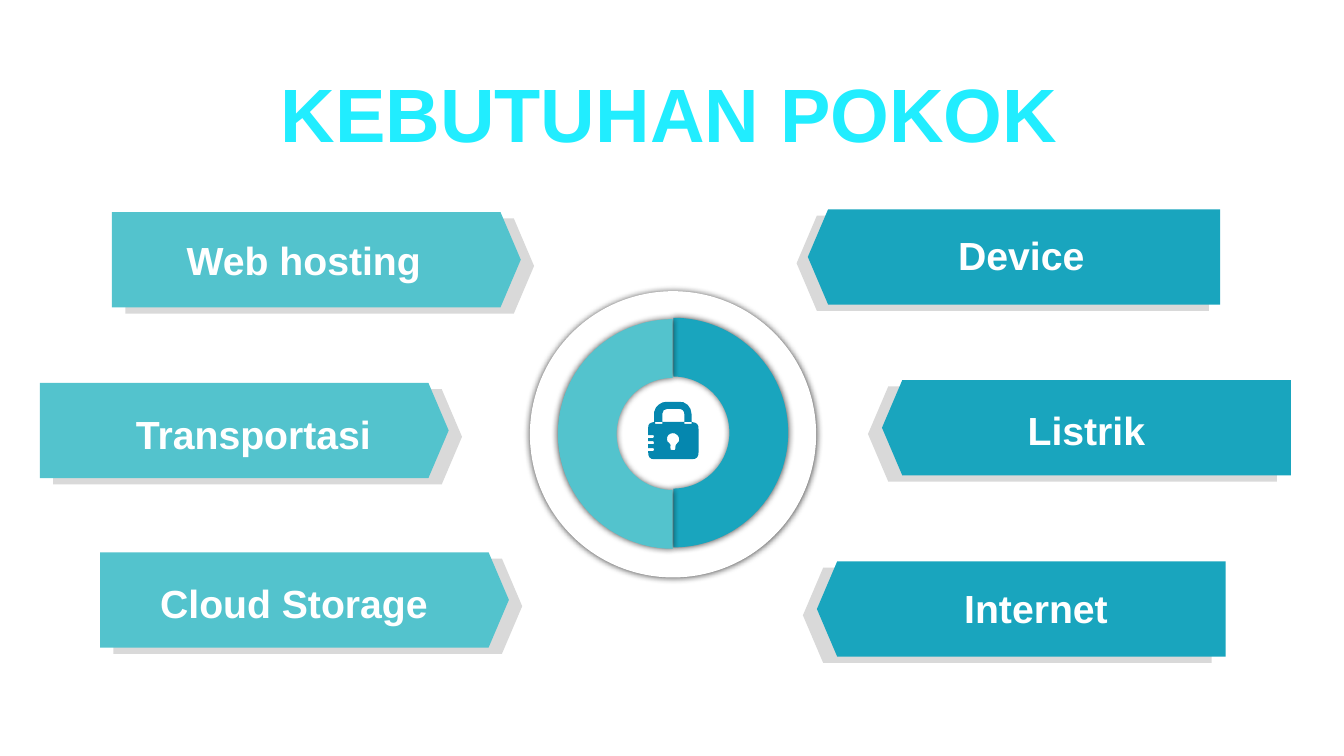
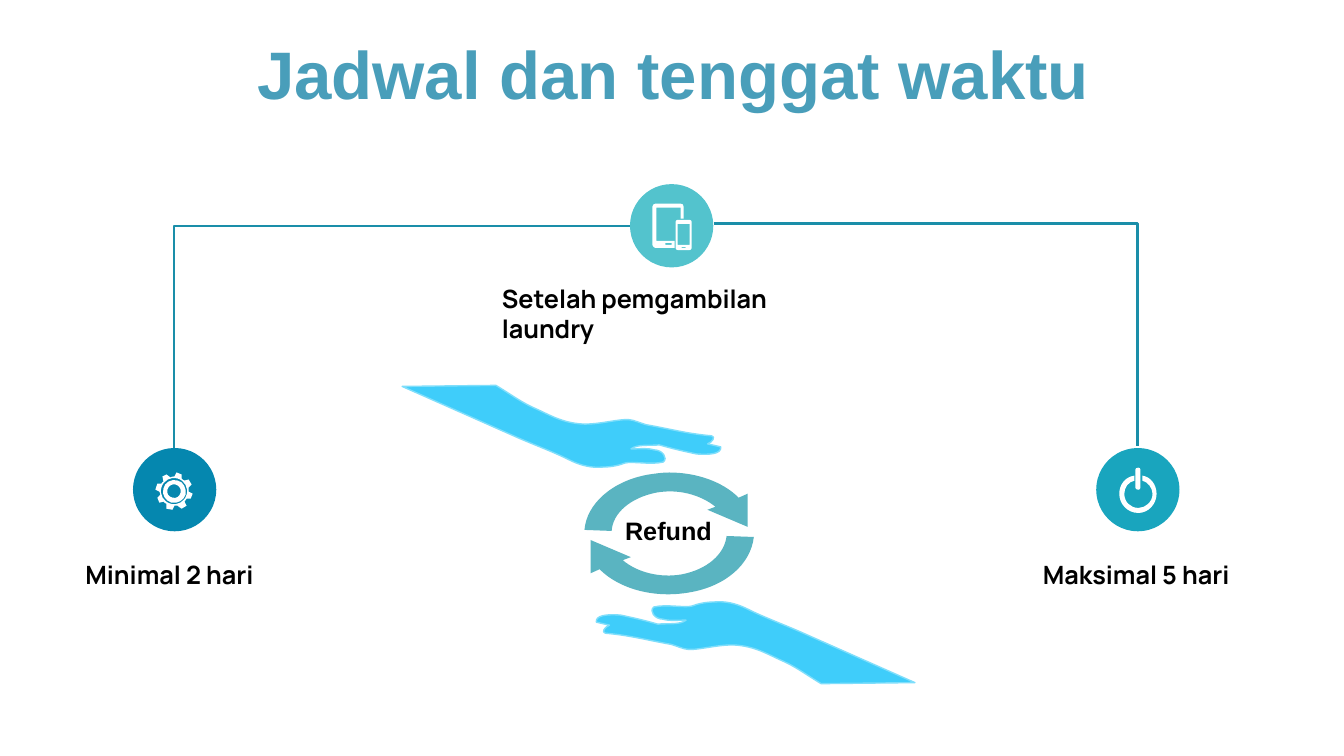
from lxml.etree import SubElement
from pptx import Presentation
from pptx.dml.color import RGBColor
from pptx.enum.shapes import MSO_CONNECTOR, MSO_SHAPE
from pptx.enum.text import MSO_ANCHOR, PP_ALIGN
from pptx.oxml.ns import qn
from pptx.util import Pt

WHITE = "FFFFFF"
BLACK = "000000"
LIGHT_TEAL = "53C3CD"
TEAL = "19A5BE"
BLUE = "0587AF"
LINE_TEAL = "1A8EA9"
ARROW_TEAL = "5AB4C1"
SHADE = "D9D9D9"
SKY = "3FCDFA"
SKY_EDGE = "7FDEFB"

# Outlines in hundredths of an inch: L starts straight lines, C cubic curves, Z the next contour
LOCK = """43 20 L 43 12 C 43 5 37 -1 30 0 L 18 0 C 13 0 7 4 6 10 L 6 20 C 1 21 0 22 0 26
 L 0 33 5 33 6 34 5 36 0 36 0 39 5 39 6 41 5 42 0 42 0 46 5 46 6 47 5 49 0 49 0 50
 C 0 55 2 57 6 57 L 43 57 C 48 57 50 55 50 50 L 50 28 C 50 22 49 21 43 20
 Z 29 41 C 27 42 27 44 27 46 27 48 27 48 25 48 22 48 22 48 22 45 23 44 22 42 21 41
 18 40 18 35 20 33 22 31 26 30 29 33 31 35 32 39 29 41
 Z 14 20 L 14 12 C 14 9 16 7 19 7 L 30 7 C 34 7 36 9 36 13 L 36 20
 Z 7 20 L 14 20 14 22 7 22 Z 36 20 L 43 20 43 22 36 22"""
POWER = """15 8 L 15 13 C 9 14 5 20 5 26 5 34 11 40 19 40 26 40 33 34 33 26 33 20 28 14 23 13
 L 23 8 C 31 9 37 17 37 26 37 36 29 45 19 45 8 45 0 36 0 26 0 17 6 9 15 8
 Z 19 0 C 20 0 21 1 21 2 L 21 20 C 21 21 20 22 19 22 17 22 16 21 16 20
 L 16 2 C 16 1 17 0 19 0"""
GEAR = """20 12 C 17 11 13 13 12 17 11 21 13 24 17 25 21 26 24 24 25 20 26 17 24 13 20 12
 Z 22 8 C 28 9 31 16 30 22 28 28 22 31 16 30 10 28 6 22 8 16 9 10 16 6 22 8
 Z 22 6 C 15 4 8 8 6 15 4 22 8 29 15 31 22 33 29 29 31 22 33 15 29 8 22 6
 Z 26 2 L 26 6 C 27 7 28 8 29 8 L 33 7 36 12 33 15 C 33 16 33 18 33 19
 L 37 21 35 26 31 26 C 30 27 30 28 29 29 L 31 33 26 36 22 33 C 21 33 20 33 19 33
 L 17 37 11 36 11 31 C 10 31 9 30 8 29 L 4 30 2 25 5 22 C 4 21 4 20 4 19
 L 0 17 2 11 6 11 C 7 10 7 9 8 9 L 7 4 11 2 15 5 C 16 4 17 4 19 4 L 21 0"""
DEVICES = """3 0 L 28 0 C 30 0 31 1 31 3 L 31 15 28 15 28 4 4 4 4 37 22 37 22 44 3 44
 C 2 44 0 42 0 41 L 0 3 C 0 1 2 0 3 0 Z 13 39 L 19 39 19 41 13 41
 Z 25 16 L 37 16 C 38 16 39 17 39 18 L 39 44 C 39 45 38 46 37 46
 L 25 46 C 24 46 23 45 23 44 L 23 18 C 23 17 24 16 25 16
 Z 25 20 L 37 20 37 41 25 41 Z 29 43 L 33 43 33 44 29 44"""
CYCLE = """141 63 L 168 64 C 165 91 140 113 104 119 70 125 35 116 15 96
 L 6 100 6 67 46 84 38 87 C 52 99 75 105 97 101 122 96 139 81 141 63
 Z 84 0 C 111 0 137 9 153 25 L 162 21 162 54 122 37 130 34
 C 115 22 93 16 71 20 46 25 28 40 27 58 L 0 57 C 2 31 28 8 64 2 71 1 77 0 84 0"""
HAND = """117 0 C 127 -1 138 1 150 7 166 15 180 20 201 29 L 316 80 223 81
 C 208 72 199 65 186 59 172 53 160 45 141 43 124 41 102 48 91 47 87 47 78 43 74 42
 51 38 33 33 9 31 5 30 8 25 13 23 L 0 20 C -1 13 11 12 24 13 38 16 47 18 61 22
 70 21 83 23 89 18 81 18 72 19 66 17 58 17 52 9 57 5 69 2 88 6 95 4 100 2 108 0 117 0"""


def paint(fill, color):
    fill.solid()
    fill.fore_color.rgb = RGBColor.from_string(color)


def add_text(slide, box, text, size, color, font="Arial", align=PP_ALIGN.CENTER):
    textbox = slide.shapes.add_textbox(*map(Pt, box))
    frame = textbox.text_frame
    frame.word_wrap = True
    frame.vertical_anchor = MSO_ANCHOR.TOP
    frame.margin_left = frame.margin_right = frame.margin_top = frame.margin_bottom = 0
    paragraph = frame.paragraphs[0]
    paragraph.alignment = align
    run = paragraph.add_run()
    run.text = text
    run.font.name = font
    run.font.size = Pt(size)
    run.font.bold = True
    paint(run.font.fill, color)


presentation = Presentation()
presentation.slide_width = Pt(960)
presentation.slide_height = Pt(540)
blank_layout = presentation.slide_layouts[6]
needs_slide = presentation.slides.add_slide(blank_layout)
schedule_slide = presentation.slides.add_slide(blank_layout)

# Titles
add_text(needs_slide, (22, 48, 912, 62), "KEBUTUHAN POKOK", 54, "21EDFF")
add_text(schedule_slide, (25, 23, 912, 56), "Jadwal dan tenggat waktu", 48, "499EBA")

# Ring in the middle and round badges: slide, preset, left, top, size, colour, adjustments, shadow
discs = [
    (needs_slide, MSO_SHAPE.OVAL, 378.5, 208, 204.5, WHITE, [], True),
    (needs_slide, MSO_SHAPE.BLOCK_ARC, 399, 227, 164, TEAL, [162, 54, 0.256], True),
    (needs_slide, MSO_SHAPE.BLOCK_ARC, 398.5, 228, 164, LIGHT_TEAL, [54, 162, 0.256], True),
    (schedule_slide, MSO_SHAPE.OVAL, 95, 320, 59.5, BLUE, [], False),
    (schedule_slide, MSO_SHAPE.OVAL, 450, 131.5, 59.5, LIGHT_TEAL, [], False),
    (schedule_slide, MSO_SHAPE.OVAL, 783, 320, 59.5, TEAL, [], False),
]
for slide, preset, left, top, size, color, adjustments, has_shadow in discs:
    shape = slide.shapes.add_shape(preset, Pt(left), Pt(top), Pt(size), Pt(size))
    for index, value in enumerate(adjustments):
        shape.adjustments[index] = value
    paint(shape.fill, color)
    shape.line.fill.background()
    shape.shadow.inherit = False
    if has_shadow:
        effects = shape._element.spPr.find(qn("a:effectLst"))
        shadow = SubElement(effects, qn("a:outerShdw"), blurRad=str(Pt(5)), algn="ctr", rotWithShape="0")
        shadow_color = SubElement(shadow, qn("a:srgbClr"), val=BLACK)
        SubElement(shadow_color, qn("a:alpha"), val="70000")

# Banners: label, banner left, top and width, shade shift, label left and top
banners = [
    ("Web hosting", 80, 151.5, 292, 9.5, 96.5, 168.5),
    ("Transportasi", 28.5, 273.5, 292, 9.5, 60.5, 293),
    ("Cloud Storage", 71.5, 394.5, 292, 9.5, 89.5, 413.5),
    ("Device", 577, 149.5, 294.5, -8, 609, 165),
    ("Listrik", 630, 271.5, 292, -10, 655.5, 290),
    ("Internet", 583.5, 401, 292, -10, 619.5, 417.5),
]
for label, left, top, width, shift, label_left, label_top in banners:
    points_left = shift < 0
    front_color = TEAL if points_left else LIGHT_TEAL
    for offset_x, offset_y, color in [(shift, 4.5, SHADE), (0, 0, front_color)]:
        shape = needs_slide.shapes.add_shape(
            MSO_SHAPE.PENTAGON, Pt(left + offset_x), Pt(top + offset_y), Pt(width), Pt(68))
        shape.adjustments[0] = 0.213
        shape.rotation = 180 if points_left else 0
        paint(shape.fill, color)
        shape.line.fill.background()
        shape.shadow.inherit = False
    add_text(needs_slide, (label_left, label_top, 241, 33), label, 28, WHITE)

# Elbow lines from the middle badge to the outer ones
for start_x, start_y, end_x, end_y in [(510, 159.5, 812.5, 318.5), (450, 161.5, 124.5, 320)]:
    connector = schedule_slide.shapes.add_connector(
        MSO_CONNECTOR.ELBOW, Pt(start_x), Pt(start_y), Pt(end_x), Pt(end_y))
    paint(connector.line.fill, LINE_TEAL)
    connector.line.width = Pt(1.75)
    properties = connector._element.spPr
    properties.find(qn("a:prstGeom")).set("prst", "bentConnector2")
    SubElement(properties, qn("a:effectLst"))

# Captions
captions = [
    ("Minimal 2 hari", 61, 399.5, 150),
    ("Maksimal 5 hari", 745, 399.5, 150),
    ("Setelah pemgambilan laundry", 358.5, 202.5, 215),
]
for caption, left, top, width in captions:
    add_text(schedule_slide, (left, top, width, 25), caption, 18, BLACK, "Manrope", PP_ALIGN.LEFT)

# Icons, arrows and hands: slide, outline, left, top, rotation, fill, line
drawings = [
    (needs_slide, LOCK, 463, 287, 0, BLUE, None),
    (schedule_slide, POWER, 799.5, 334, 0, WHITE, None),
    (schedule_slide, GEAR, 111, 337.5, 0, WHITE, None),
    (schedule_slide, DEVICES, 466, 145.5, 0, WHITE, None),
    (schedule_slide, CYCLE, 417.5, 337.5, 0, ARROW_TEAL, None),
    (schedule_slide, HAND, 426, 430, 0, SKY, SKY_EDGE),
    (schedule_slide, HAND, 288, 276, 180, SKY, SKY_EDGE),
]
for slide, outline, left, top, rotation, color, line_color in drawings:
    builder = None
    curve_starts = []
    step_count = 0
    for contour in outline.split("Z"):
        start, *segments = contour.replace("L", "|L").replace("C", "|C").split("|")
        points = [tuple(100 * float(number) for number in start.split())]
        for segment in segments:
            numbers = [100 * float(number) for number in segment[1:].split()]
            pairs = list(zip(numbers[::2], numbers[1::2]))
            if segment[0] == "C":
                first = step_count + len(points)
                curve_starts += range(first, first + len(pairs), 3)
            points += pairs
        if builder is None:
            builder = slide.shapes.build_freeform(*points[0], scale=Pt(0.72) / 100)
        else:
            builder.move_to(*points[0])
        builder.add_line_segments(points[1:], close=True)
        step_count += len(points) + 1
    shape = builder.convert_to_shape(Pt(left), Pt(top))
    # Each curve was laid down as three line steps: join them into one cubic step
    geometry = next(shape._element.iter(qn("a:path")))
    steps = list(geometry)
    for index in curve_starts:
        curve = steps[index]
        curve.tag = qn("a:cubicBezTo")
        for line_step in steps[index + 1:index + 3]:
            curve.append(line_step[0])
            geometry.remove(line_step)
    shape.rotation = rotation
    shape.shadow.inherit = False
    paint(shape.fill, color)
    if line_color:
        paint(shape.line.fill, line_color)
        shape.line.width = Pt(1)
    else:
        shape.line.fill.background()

add_text(schedule_slide, (435.5, 368, 84, 21), "Refund", 18, BLACK)

presentation.save("out.pptx")
